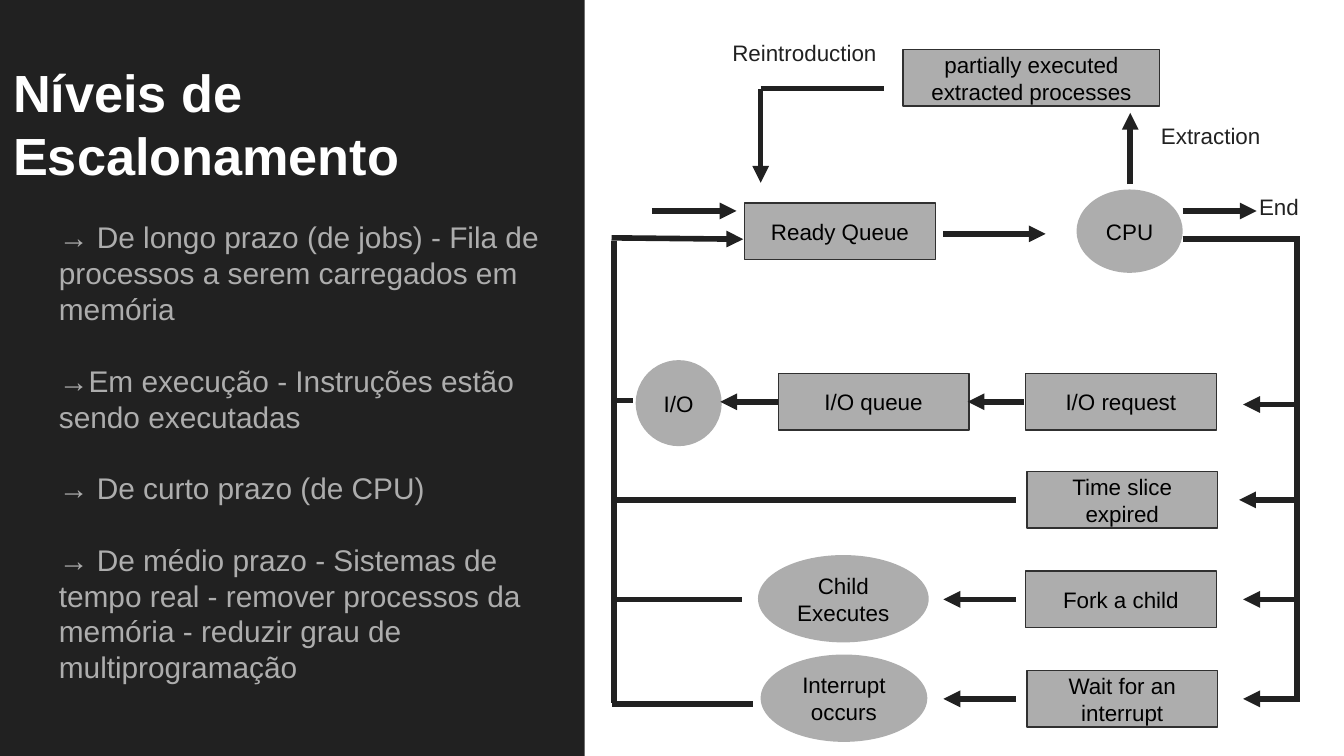
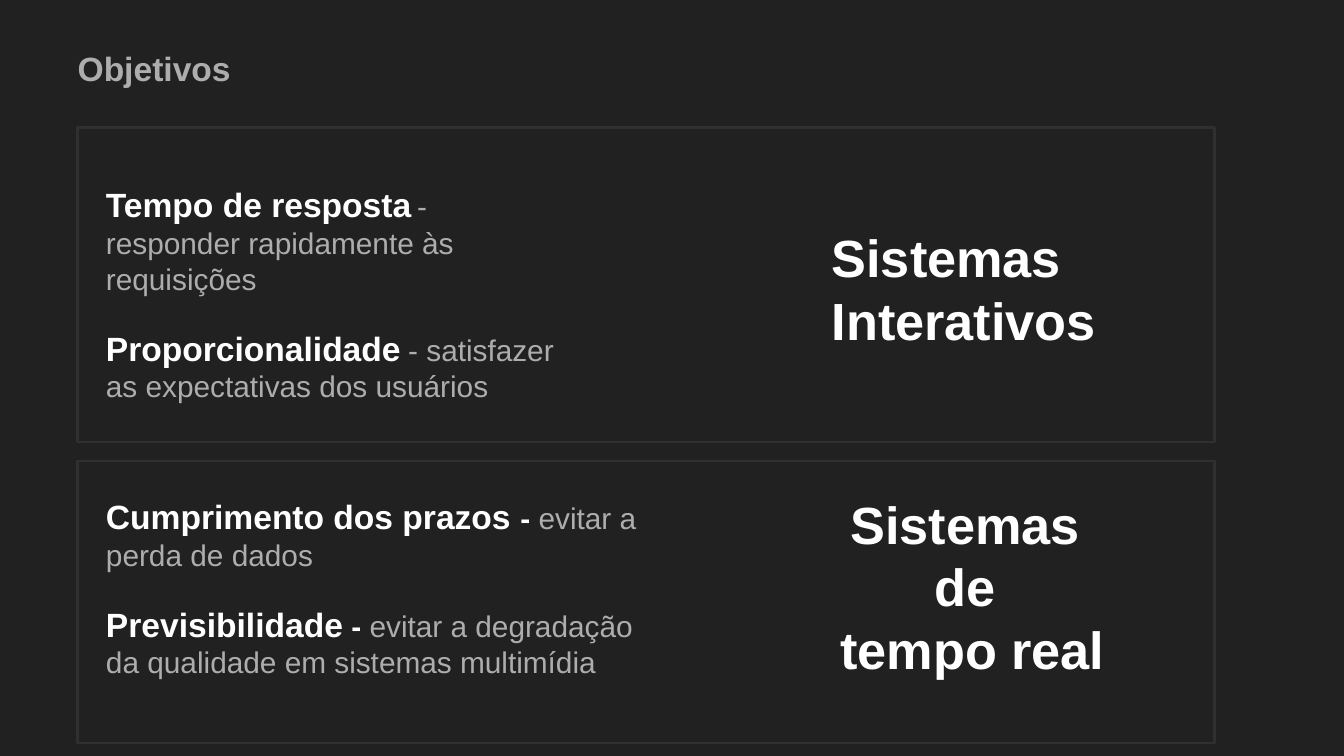
from itertools import pairwise

from lxml import etree
from pptx import Presentation
from pptx import util as u
from pptx.dml import color as c
from pptx.enum import shapes, text
from pptx.oxml import ns

COLORS = {
    "dark": "212121",
    "white": "FFFFFF",
    "gray": "ADADAD",
    "border": "303030",
    "black": "000000",
}
FONT = "Arial"
WIDTH = 10
HEIGHT = WIDTH * 9 / 16
TITLE = {"size": 28, "color": "white", "bold": True}
TERM = {"size": 18, "color": "white", "bold": True}
BODY = {"size": 16, "color": "gray"}
RECT = shapes.MSO_SHAPE.RECTANGLE
OVAL = shapes.MSO_SHAPE.OVAL


def rgb(name):
    return c.RGBColor.from_string(COLORS[name])


def inches(*values):
    return [u.Inches(value) for value in values]


def write_text(frame, paragraphs, size=12, color="dark", bold=False, align="LEFT",
               anchor="TOP", top_inset=0.1, gap=0):
    frame.word_wrap = True
    frame.auto_size = text.MSO_AUTO_SIZE.NONE
    frame.vertical_anchor = text.MSO_ANCHOR[anchor]
    frame.margin_left = frame.margin_right = frame.margin_bottom = u.Inches(0.1)
    frame.margin_top = u.Inches(top_inset)
    for index, spans in enumerate(paragraphs):
        para = frame.add_paragraph() if index else frame.paragraphs[0]
        para.alignment = text.PP_ALIGN[align]
        if index and gap:
            para.space_before = u.Pt(gap)
        for words, changes in [(spans, {})] if isinstance(spans, str) else spans:
            style = {"size": size, "color": color, "bold": bold} | changes
            span = para.add_run()
            span.text = words
            span.font.name = FONT
            span.font.size = u.Pt(style["size"])
            span.font.bold = style["bold"]
            span.font.color.rgb = rgb(style["color"])


def add_text(page, area, paragraphs, **style):
    box = page.shapes.add_textbox(*inches(*area))
    write_text(box.text_frame, paragraphs, **style)


def add_box(page, kind, area, fill=None, line=None, line_width=0.75, label=None):
    shape = page.shapes.add_shape(kind, *inches(*area))
    shape.shadow.inherit = False
    if fill:
        shape.fill.solid()
        shape.fill.fore_color.rgb = rgb(fill)
    else:
        shape.fill.background()
    if line:
        shape.line.color.rgb = rgb(line)
        shape.line.width = u.Pt(line_width)
    else:
        shape.line.fill.background()
    if label:
        write_text(shape.text_frame, [label], color="black", align="CENTER", anchor="MIDDLE")


def add_line(page, start, end, arrow=False):
    line = page.shapes.add_connector(shapes.MSO_CONNECTOR.STRAIGHT, *inches(*start, *end))
    line.line.color.rgb = rgb("dark")
    line.line.width = u.Pt(3)
    properties = line._element.spPr
    if arrow:
        etree.SubElement(properties.find(ns.qn("a:ln")), ns.qn("a:tailEnd"), type="triangle")
    etree.SubElement(properties, ns.qn("a:effectLst"))


def add_page(deck):
    page = deck.slides.add_slide(deck.slide_layouts[6])
    page.background.fill.solid()
    page.background.fill.fore_color.rgb = rgb("dark")
    return page


def draw_levels(page, left, top):
    add_text(page, (left, top + 0.35, 4.69, 1.06), ["Níveis de Escalonamento"], **TITLE)
    levels = [
        "→ De longo prazo (de jobs) - Fila de processos a serem carregados em memória",
        "→Em execução - Instruções estão sendo executadas",
        "→ De curto prazo (de CPU)",
        "→ De médio prazo - Sistemas de tempo real - remover processos da memória - "
        "reduzir grau de multiprogramação",
    ]
    add_text(page, (left + 0.34, top + 1.26, 4.13, 2.71), levels,
             top_inset=0.37, gap=19.2, **BODY)


def draw_queue_diagram(page, left, top, width, height):
    def place(x, y):
        return left + x, top + y

    def connect(x1, y1, x2, y2, arrow=True):
        add_line(page, place(x1, y1), place(x2, y2), arrow)

    add_box(page, RECT, (left, top, width, height), fill="white")

    io_row, slice_row, fork_row, wait_row = rows = [2.98, 3.72, 4.46, 5.2]
    return_x, exit_x = 0.22, 5.3
    exit_rows = [3.01, *rows[1:]]

    for label, x, y, step_width in [
        ("Ready Queue", 1.19, 1.51, 1.42),
        ("I/O queue", 1.44, 2.78, 1.42),
        ("I/O request", 3.28, 2.78, 1.42),
        ("Time slice expired", 3.29, 3.51, 1.42),
        ("Fork a child", 3.28, 4.25, 1.42),
        ("Wait for an interrupt", 3.29, 4.99, 1.42),
        ("partially executed extracted processes", 2.37, 0.37, 1.91),
    ]:
        add_box(page, RECT, (*place(x, y), step_width, 0.42), "gray", "border", label=label)

    for label, x, y, oval_width, oval_height in [
        ("CPU", 3.66, 1.41, 0.79, 0.62),
        ("I/O", 0.38, 2.68, 0.64, 0.64),
        ("Child Executes", 1.29, 4.13, 1.27, 0.65),
        ("Interrupt occurs", 1.31, 4.87, 1.24, 0.65),
    ]:
        add_box(page, OVAL, (*place(x, y), oval_width, oval_height), "gray", label=label)

    for trunk_x, ends in [(exit_x, [1.77, *exit_rows]), (return_x, [1.79, *rows[:-1], 5.23])]:
        for upper, lower in pairwise(ends):
            connect(trunk_x, upper, trunk_x, lower, arrow=False)
    for row, tip in zip(exit_rows, [4.9, 4.87, 4.9, 4.9]):
        connect(exit_x + 0.02, row, tip, row)

    for x1, y1, x2, y2 in [
        (0.5, 1.57, 1.13, 1.57),
        (0.2, 1.77, 1.18, 1.78),
        (2.67, 1.74, 3.43, 1.74),
        (4.45, 1.57, 5, 1.57),
        (4.06, 1.37, 4.06, 0.84),
        (1.31, 0.66, 1.31, 1.36),
        (3.27, 2.99, 2.85, 2.99),
        (1.44, 2.99, 1.01, 2.99),
        (3.21, fork_row, 2.67, fork_row),
        (3.21, wait_row, 2.67, wait_row),
    ]:
        connect(x1, y1, x2, y2)

    for x1, x2, y in [
        (1.31, 2.23, 0.66),
        (4.45, 5.32, 1.78),
        (0.21, 0.36, io_row),
        (0.21, 3.21, slice_row),
        (0.2, 1.17, fork_row),
        (0.2, 1.25, 5.24),
    ]:
        connect(x1, y, x2, y, arrow=False)

    for label, x, y, label_width in [
        ("Reintroduction", 1, 0.19, 1.42),
        ("Extraction", 4.19, 0.81, 1.46),
        ("End", 4.92, 1.34, 0.73),
    ]:
        add_text(page, (*place(x, y), label_width, 0.4), [label])


def draw_interactive_goals(page, left, top, width, height):
    add_box(page, RECT, (left, top, width, height), line="border", line_width=1.5)
    goals = [
        [("Tempo de resposta", TERM), (" ", {"size": 11}),
         ("- responder rapidamente às requisições", {})],
        [("Proporcionalidade", TERM), (" ", {"size": 14}),
         ("- satisfazer as expectativas dos usuários", {})],
    ]
    add_text(page, (left + 0.11, top + 0.14, 3.54, 2.04), goals,
             top_inset=0.28, gap=16.8, **BODY)
    add_text(page, (left + 5.51, top - 0.48, 3.91, 2.24), ["Sistemas", "Interativos"],
             anchor="BOTTOM", **TITLE)


def draw_real_time_goals(page, left, top, width, height):
    add_box(page, RECT, (left, top, width, height), line="border", line_width=1.5)
    dash = TERM | {"size": 16}
    goals = [
        [("Cumprimento dos prazos ", TERM), ("-", dash), (" evitar a perda de dados", {})],
        [("Previsibilidade", TERM), (" - ", dash),
         ("evitar a degradação da qualidade em sistemas multimídia", {})],
    ]
    add_text(page, (left + 0.11, top - 0.14, 4.31, 1.89), goals,
             top_inset=0.4, gap=16.8, **BODY)
    add_text(page, (left + 4.54, top + 0.13, 4.23, 1.62),
             ["Sistemas ", "de ", "tempo real"], align="CENTER", **TITLE)


def main():
    deck = Presentation()
    deck.slide_width, deck.slide_height = inches(WIDTH, HEIGHT)

    levels_page = add_page(deck)
    draw_queue_diagram(levels_page, 4.35, 0, 5.65, HEIGHT)
    draw_levels(levels_page, 0, 0)

    goals_page = add_page(deck)
    add_text(goals_page, (0.48, 0.26, 8.33, 0.5), ["Objetivos"],
             size=18, color="gray", bold=True)
    draw_interactive_goals(goals_page, 0.58, 0.95, 8.46, 2.34)
    draw_real_time_goals(goals_page, 0.58, 3.43, 8.46, 2.1)

    deck.save("out.pptx")


if __name__ == "__main__":
    main()
